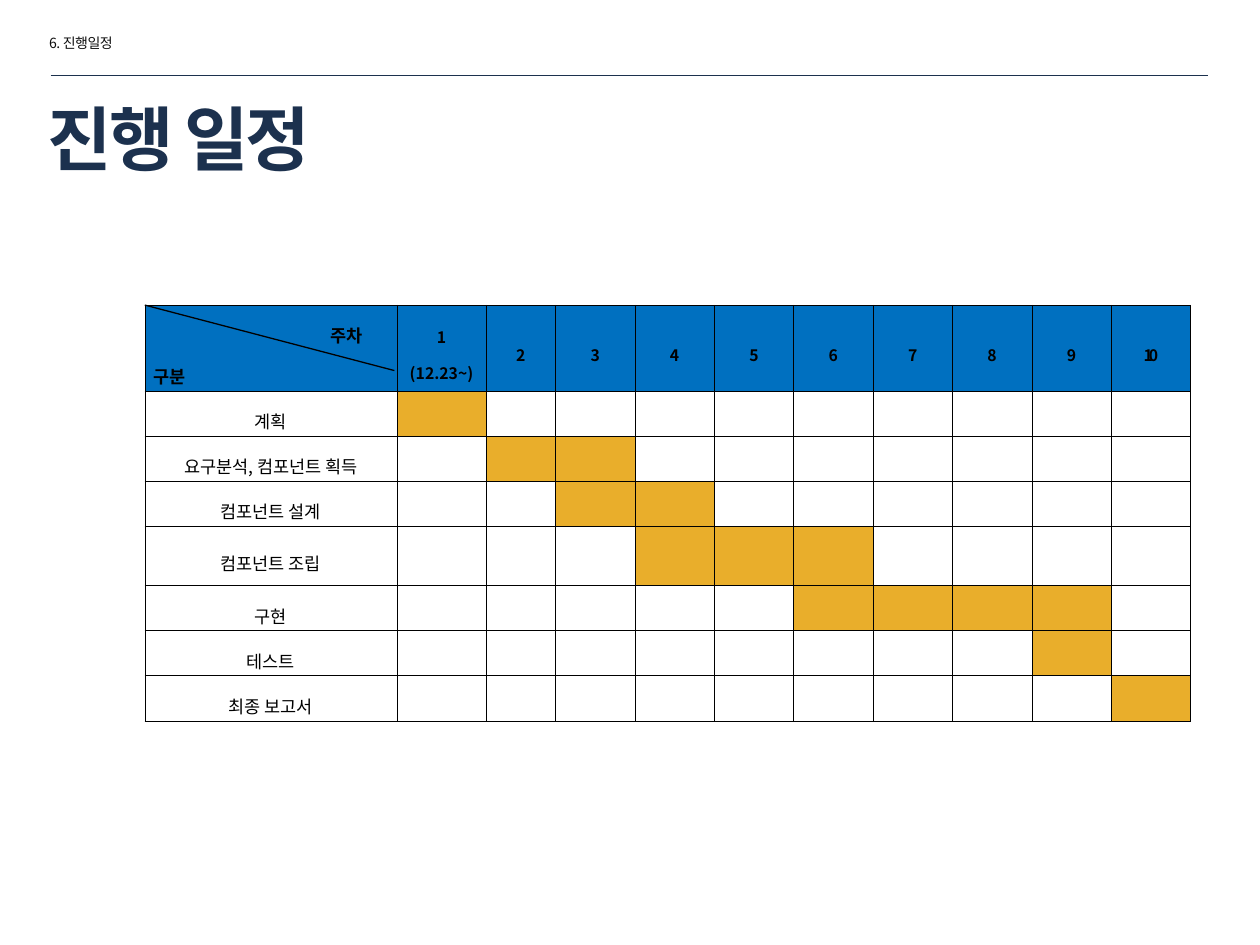
from typing import NamedTuple

from lxml import etree
from pptx import Presentation
from pptx.dml.color import RGBColor
from pptx.enum.shapes import MSO_CONNECTOR
from pptx.enum.text import MSO_ANCHOR, PP_ALIGN
from pptx.oxml.ns import qn
from pptx.util import Cm, Pt

STRAIGHT = MSO_CONNECTOR.STRAIGHT
MIDDLE, TOP = MSO_ANCHOR.MIDDLE, MSO_ANCHOR.TOP
LEFT, CENTER = PP_ALIGN.LEFT, PP_ALIGN.CENTER

FONT = "Noto Sans CJK KR"
NAVY = RGBColor(0x1C, 0x31, 0x4E)
INK = RGBColor(0x0D, 0x0D, 0x0D)
BLACK = RGBColor(0, 0, 0)
WHITE = RGBColor(0xFF, 0xFF, 0xFF)
BLUE = RGBColor(0, 0x70, 0xC0)
AMBER = RGBColor(0xE9, 0xAE, 0x2B)

WEEKS = 10
TABLE_LEFT, TABLE_TOP = 2.92, 6.15
COLUMN_WIDTHS = [5.08, 1.8, 1.4] + [1.6] * 8
HEADER_HEIGHT = 1.73


class Style(NamedTuple):
    size: float
    color: RGBColor = BLACK
    bold: bool = False
    tracking: float = 0
    align: PP_ALIGN = CENTER
    spacing: float = 1.6
    indent: float = 0


class Label(NamedTuple):
    text: str
    left: float
    top: float
    width: float
    height: float
    anchor: MSO_ANCHOR
    style: Style


class Rule(NamedTuple):
    start: tuple[float, float]
    end: tuple[float, float]
    color: RGBColor
    weight: float


class Task(NamedTuple):
    name: str
    first_week: int
    last_week: int
    height: float = 0.91


LABELS = [
    Label("6. 진행일정", 0.74, 0.58, 4.4, 0.6, TOP,
          Style(8, INK, tracking=-0.3, align=LEFT, spacing=1)),
    Label("진행 일정", 0.71, 1.96, 19.43, 1.63, MIDDLE,
          Style(40, NAVY, True, -1.5, LEFT, 1)),
]
RULES = [
    Rule((1.02, 1.52), (24.36, 1.52), NAVY, 0.25),
    Rule((TABLE_LEFT, TABLE_TOP), (7.95, 7.47), BLACK, 0.75),
]
TASKS = [
    Task("계획", 1, 1),
    Task("요구분석, 컴포넌트 획득", 2, 3),
    Task("컴포넌트 설계", 3, 4),
    Task("컴포넌트 조립", 4, 6, 1.19),
    Task("구현", 6, 9),
    Task("테스트", 9, 9),
    Task("최종 보고서", 10, 10),
]
TASK_STYLE = Style(10)
WEEK_STYLE = Style(9, bold=True)
TIGHT_WEEK_STYLE = WEEK_STYLE._replace(tracking=-2.3)
CORNER_STYLE = Style(10, bold=True, align=LEFT)


def write(para, text: str, style: Style) -> None:
    para.text = text
    para.alignment = style.align
    para.line_spacing = style.spacing
    font = para.font
    font.name, font.size, font.bold = FONT, Pt(style.size), style.bold
    font.color.rgb = style.color
    properties = para._p.get_or_add_pPr()
    if style.indent:
        properties.set("marL", str(Cm(style.indent)))
    defaults = properties.find(qn("a:defRPr"))
    defaults.set("spc", str(round(style.tracking * 100)))
    etree.SubElement(defaults, qn("a:ea"), typeface=FONT)


def add_label(page, label: Label) -> None:
    box = page.shapes.add_textbox(Cm(label.left), Cm(label.top),
                                  Cm(label.width), Cm(label.height))
    box.text_frame.word_wrap = True
    box.text_frame.vertical_anchor = label.anchor
    write(box.text_frame.paragraphs[0], label.text, label.style)


def add_rule(page, rule: Rule) -> None:
    line = page.shapes.add_connector(STRAIGHT, *map(Cm, rule.start + rule.end))
    line.line.color.rgb = rule.color
    line.line.width = Pt(rule.weight)
    etree.SubElement(line._element.spPr, qn("a:effectLst"))


def fill_cell(cell, fill: RGBColor, lines: list[tuple[str, Style]]) -> None:
    cell.margin_left = cell.margin_right = Cm(0.18)
    cell.margin_top = cell.margin_bottom = Cm(0.05)
    cell.vertical_anchor = MIDDLE
    properties = cell._tc.get_or_add_tcPr()
    for side in ("a:lnL", "a:lnR", "a:lnT", "a:lnB"):
        border = etree.SubElement(properties, qn(side), w=str(Pt(0.28)))
        solid = etree.SubElement(border, qn("a:solidFill"))
        etree.SubElement(solid, qn("a:srgbClr"), val=str(BLACK))
    cell.fill.solid()
    cell.fill.fore_color.rgb = fill
    frame = cell.text_frame
    for index, (text, style) in enumerate(lines):
        para = frame.add_paragraph() if index else frame.paragraphs[0]
        write(para, text, style)


def add_schedule(page) -> None:
    heights = [HEADER_HEIGHT] + [task.height for task in TASKS]
    table = page.shapes.add_table(
        len(heights), len(COLUMN_WIDTHS), Cm(TABLE_LEFT), Cm(TABLE_TOP),
        Cm(sum(COLUMN_WIDTHS)), Cm(sum(heights))).table
    for column, width in zip(table.columns, COLUMN_WIDTHS):
        column.width = Cm(width)
    for row, height in zip(table.rows, heights):
        row.height = Cm(height)

    fill_cell(table.cell(0, 0), BLUE, [
        ("주차", CORNER_STYLE._replace(indent=3.56)), ("구분", CORNER_STYLE)])
    for week in range(1, WEEKS + 1):
        style = WEEK_STYLE if week < 4 else TIGHT_WEEK_STYLE
        lines = [(str(week), style)]
        if week == 1:
            lines.append(("(12.23~)", style))
        fill_cell(table.cell(0, week), BLUE, lines)

    for row, task in enumerate(TASKS, start=1):
        fill_cell(table.cell(row, 0), WHITE, [(task.name, TASK_STYLE)])
        for week in range(1, WEEKS + 1):
            active = task.first_week <= week <= task.last_week
            fill_cell(table.cell(row, week), AMBER if active else WHITE,
                      [("", TASK_STYLE)])


def main() -> None:
    deck = Presentation()
    deck.slide_width, deck.slide_height = Cm(25.4), Cm(19.05)
    page = deck.slides.add_slide(deck.slide_layouts[6])
    for label in LABELS:
        add_label(page, label)
    add_schedule(page)
    for rule in RULES:
        add_rule(page, rule)
    deck.save("out.pptx")


if __name__ == "__main__":
    main()
